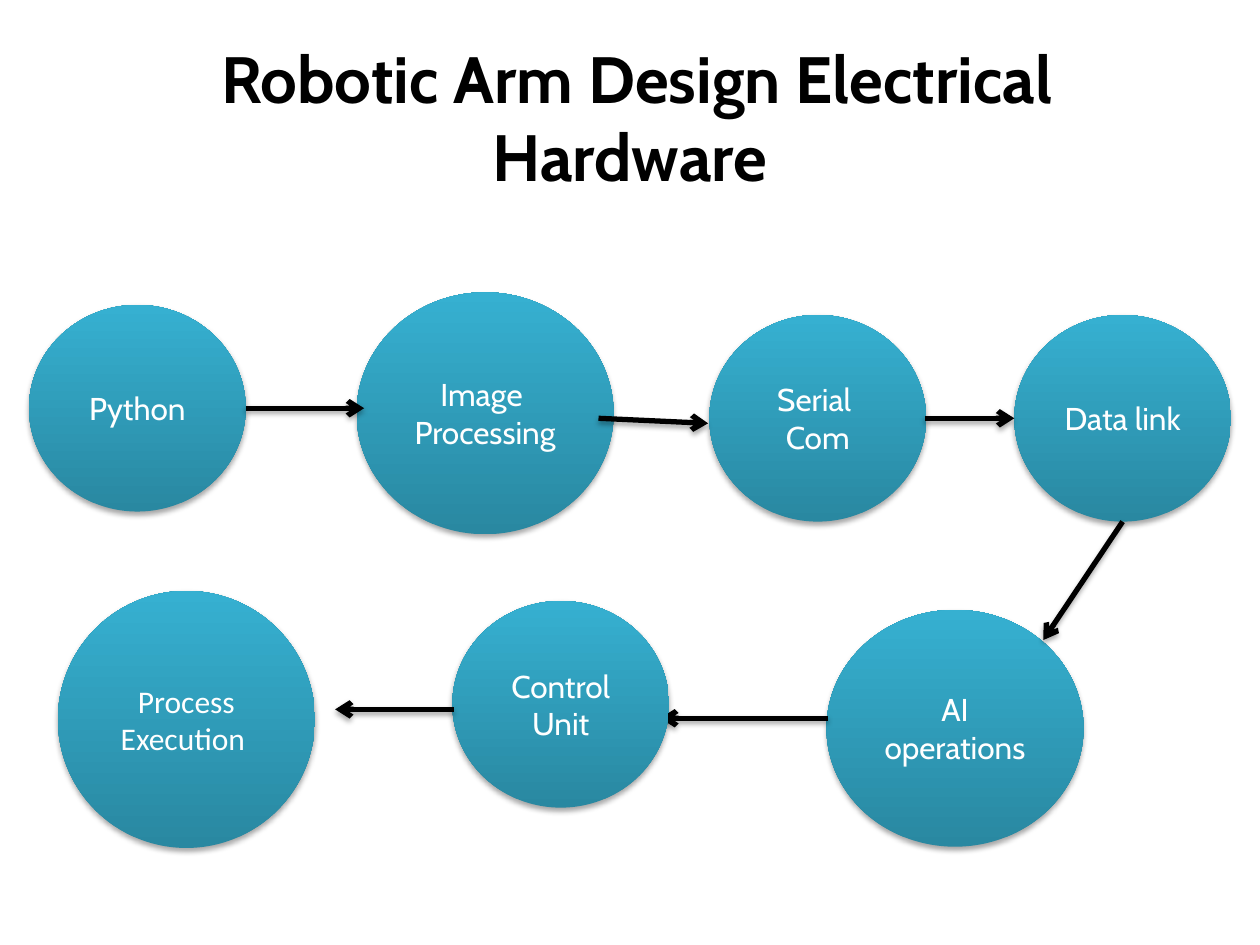
from lxml.etree import SubElement
from pptx import Presentation
from pptx.dml.color import RGBColor as RGB
from pptx.enum.shapes import MSO_CONNECTOR as CONN, MSO_SHAPE as SHAPE
from pptx.enum.text import MSO_ANCHOR as ANCHOR, MSO_AUTO_SIZE as AUTO, PP_ALIGN as ALIGN
from pptx.oxml.ns import qn
from pptx.util import Inches, Pt

COLORS = {"top": "36B0D1", "bottom": "2988A1", "ink": "000000", "label": "FFFFFF"}
FONT = "Cabin"

prs = Presentation()
prs.slide_width, prs.slide_height = Inches(10), Inches(7.5)
cell = prs.slide_width / 100  # square grid: 100 columns by 75 rows
slide = prs.slides.add_slide(prs.slide_layouts[5])


def grid(*cells):
    return [round(n * cell) for n in cells]


def add_shadow(sp):
    """Give a shape or connector the soft shadow below it."""
    effects = SubElement(sp._element.spPr, qn("a:effectLst"))
    shadow = SubElement(effects, qn("a:outerShdw"), blurRad=str(Pt(3.1)),
                        dist=str(Pt(1.8)), dir="5400000", rotWithShape="0")
    color = SubElement(shadow, qn("a:srgbClr"), val=COLORS["ink"])
    SubElement(color, qn("a:alpha"), val="35000")


# Title
title = slide.shapes.title
title.left, title.top, title.width, title.height = grid(5, 3, 90, 12.5)
tf = title.text_frame
tf.text = " Robotic Arm Design Electrical Hardware"
tf.word_wrap, tf.auto_size, tf.vertical_anchor = True, AUTO.NONE, ANCHOR.MIDDLE
tf.margin_left = tf.margin_right = tf.margin_top = tf.margin_bottom = 0
p = tf.paragraphs[0]
p.alignment = ALIGN.CENTER
p.font.name, p.font.size, p.font.bold = FONT, Pt(37.4), True
p.font.color.rgb = RGB.from_string(COLORS["ink"])

# Steps and arrows, from back to front
small, large = (17.2, 16.4), (20.4, 19.2)
circles = [
    ("Serial \nCom", (56.3, 25), small, FONT),
    ("Data link", (80.5, 25), small, FONT),
    ("Image \nProcessing", (28.3, 23.2), large, FONT),
    ("AI operations", (65.6, 48.4), (20.4, 18.8), FONT),
    ("Python", (2.3, 24.2), small, FONT),
]
arrows = [
    (19.5, 32.4, 28.9, 32.4),
    (47.5, 33.2, 56.2, 33.6),
    (73.4, 33.2, 80.5, 33.2),
    (65.7, 57, 52.4, 57),
]
last_circles = [
    ("Control Unit", (35.9, 47.7), small, FONT),
    ("Process Execution ", (4.6, 46.9), (20.4, 20.4), "Calibri"),
]
last_arrows = [(36, 56.3, 26.6, 56.3), (89.1, 41.4, 82.8, 50.8)]

for circle_group, arrow_group in ((circles, arrows), (last_circles, last_arrows)):
    for label, corner, size, font in circle_group:
        sp = slide.shapes.add_shape(SHAPE.OVAL, *grid(*corner, *size))
        sp.fill.gradient()
        sp.fill.gradient_angle = 90
        for stop, name in zip(sp.fill.gradient_stops, ("bottom", "top")):
            stop.color.rgb = RGB.from_string(COLORS[name])
        sp.line.fill.background()
        add_shadow(sp)
        tf = sp.text_frame
        tf.text = label
        tf.word_wrap, tf.vertical_anchor = True, ANCHOR.MIDDLE
        for p in tf.paragraphs:
            p.alignment = ALIGN.CENTER
            p.font.name, p.font.size = font, Pt(18)
            p.font.color.rgb = RGB.from_string(COLORS["label"])

    for ends in arrow_group:
        arrow = slide.shapes.add_connector(CONN.STRAIGHT, *grid(*ends))
        arrow.line.width = Pt(3)
        arrow.line.color.rgb = RGB.from_string(COLORS["ink"])
        SubElement(arrow.line._get_or_add_ln(), qn("a:tailEnd"), type="arrow")
        add_shadow(arrow)

prs.save("out.pptx")
